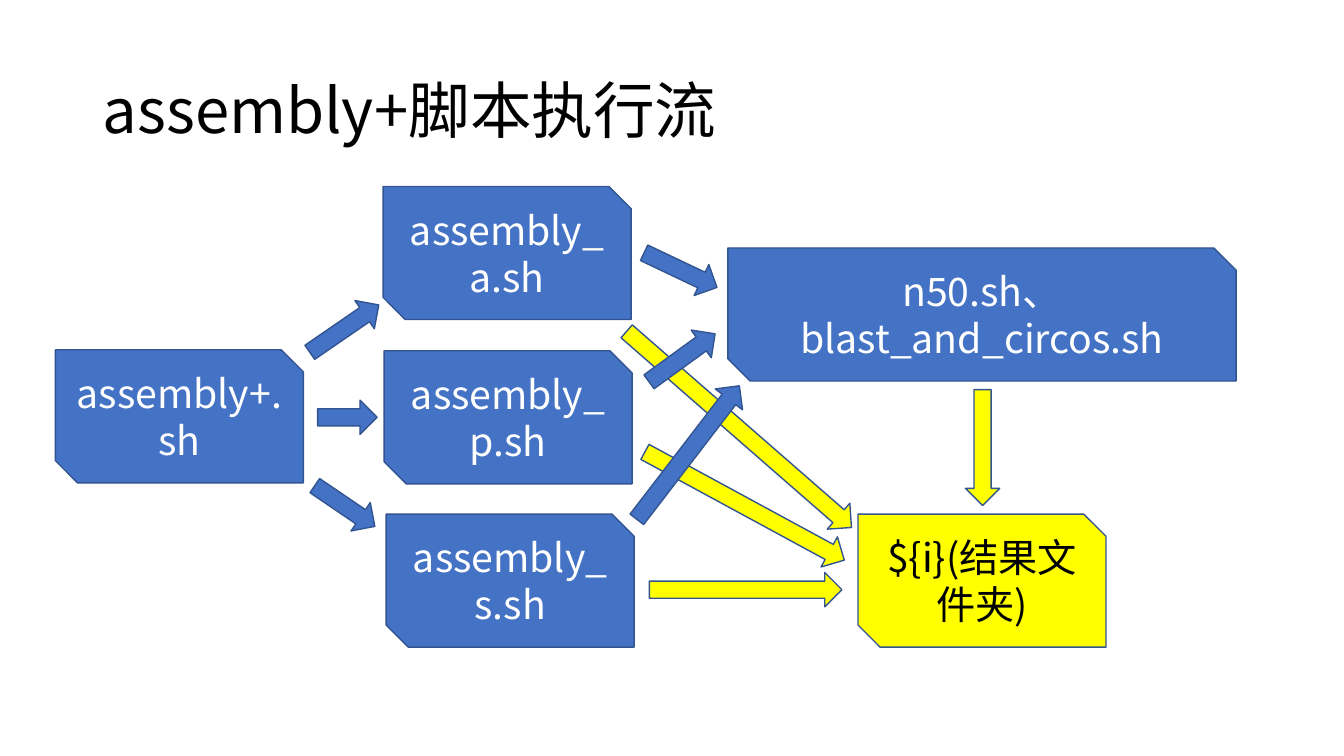
from lxml.etree import SubElement
from pptx import Presentation
from pptx.dml.color import RGBColor
from pptx.enum.shapes import MSO_SHAPE
from pptx.enum.text import MSO_ANCHOR, MSO_AUTO_SIZE, PP_ALIGN
from pptx.oxml.ns import qn
from pptx.util import Inches, Pt

COLORS = {
    "blue": "4472C4",
    "yellow": "FFFF00",
    "outline": "325491",
    "black": "000000",
    "white": "FFFFFF",
}
FONT = "Noto Sans CJK SC"
BOX_WIDTH = 2.46
BOX_HEIGHT = 1.32
ARROW_HEIGHT = 0.34


def color(name):
    return RGBColor.from_string(COLORS[name])


def write_text(shape, text, size=28, ink="white", align=PP_ALIGN.CENTER, spacing=1.0):
    frame = shape.text_frame
    frame.word_wrap = True
    frame.auto_size = MSO_AUTO_SIZE.NONE
    frame.vertical_anchor = MSO_ANCHOR.MIDDLE
    paragraph = frame.paragraphs[0]
    paragraph.alignment = align
    paragraph.line_spacing = spacing
    run = paragraph.add_run()
    run.text = text
    run.font.size = Pt(size)
    run.font.color.rgb = color(ink)
    run.font.name = FONT
    SubElement(run.font._element, qn("a:ea"), typeface=FONT)


class FlowSlide:
    def __init__(self, presentation):
        self.slide = presentation.slides.add_slide(presentation.slide_layouts[5])

    def title(self, text):
        title = self.slide.shapes.title
        title.left, title.top = Inches(0.92), Inches(0.4)
        title.width, title.height = Inches(11.5), Inches(1.45)
        write_text(title, text, size=44, ink="black", align=PP_ALIGN.LEFT, spacing=0.9)

    def shape(self, kind, left, top, width, height, fill):
        shape = self.slide.shapes.add_shape(
            kind, Inches(left), Inches(top), Inches(width), Inches(height)
        )
        shape.shadow.inherit = False
        shape.fill.solid()
        shape.fill.fore_color.rgb = color(fill)
        shape.line.color.rgb = color("outline")
        shape.line.width = Pt(1)
        return shape

    def box(self, text, left, top, width=BOX_WIDTH, fill="blue", ink="white"):
        box = self.shape(MSO_SHAPE.SNIP_2_DIAG_RECTANGLE, left, top, width, BOX_HEIGHT, fill)
        write_text(box, text, ink=ink)

    def arrow(self, left, top, length, rotation=0, fill="blue"):
        arrow = self.shape(MSO_SHAPE.RIGHT_ARROW, left, top, length, ARROW_HEIGHT, fill)
        arrow.rotation = rotation


presentation = Presentation()
presentation.slide_width = Inches(13.33)
presentation.slide_height = Inches(7.5)

flow = FlowSlide(presentation)
flow.title("assembly+脚本执行流")

result_arrows = [
    (5.85, 4.09, 2.96, 41.1),
    (6.26, 4.85, 2.25, 28.5),
    (6.44, 5.68, 1.91, 0),
    (9.17, 4.27, 1.15, 90),
]
for result_arrow in result_arrows:
    flow.arrow(*result_arrow, fill="yellow")

flow.box("assembly+.sh", 0.55, 3.47)
for letter, left, top in [("a", 3.8, 1.85), ("p", 3.81, 3.48), ("s", 3.83, 5.1)]:
    flow.box(f"assembly_{letter}.sh", left, top)
flow.box("n50.sh、blast_and_circos.sh", 7.22, 2.46, width=5.04)
flow.box("${i}(结果文件夹)", 8.51, 5.1, fill="yellow", ink="black")

script_arrows = [
    (3.15, 3.97, 0.59, 0),
    (3.06, 4.85, 0.72, 34.2),
    (3, 3.09, 0.83, 325.5),
    (6.36, 3.38, 0.81, 324),
    (6.35, 2.51, 0.8, 25.4),
    (5.99, 4.32, 1.67, 307.5),
]
for script_arrow in script_arrows:
    flow.arrow(*script_arrow)

presentation.save("out.pptx")
